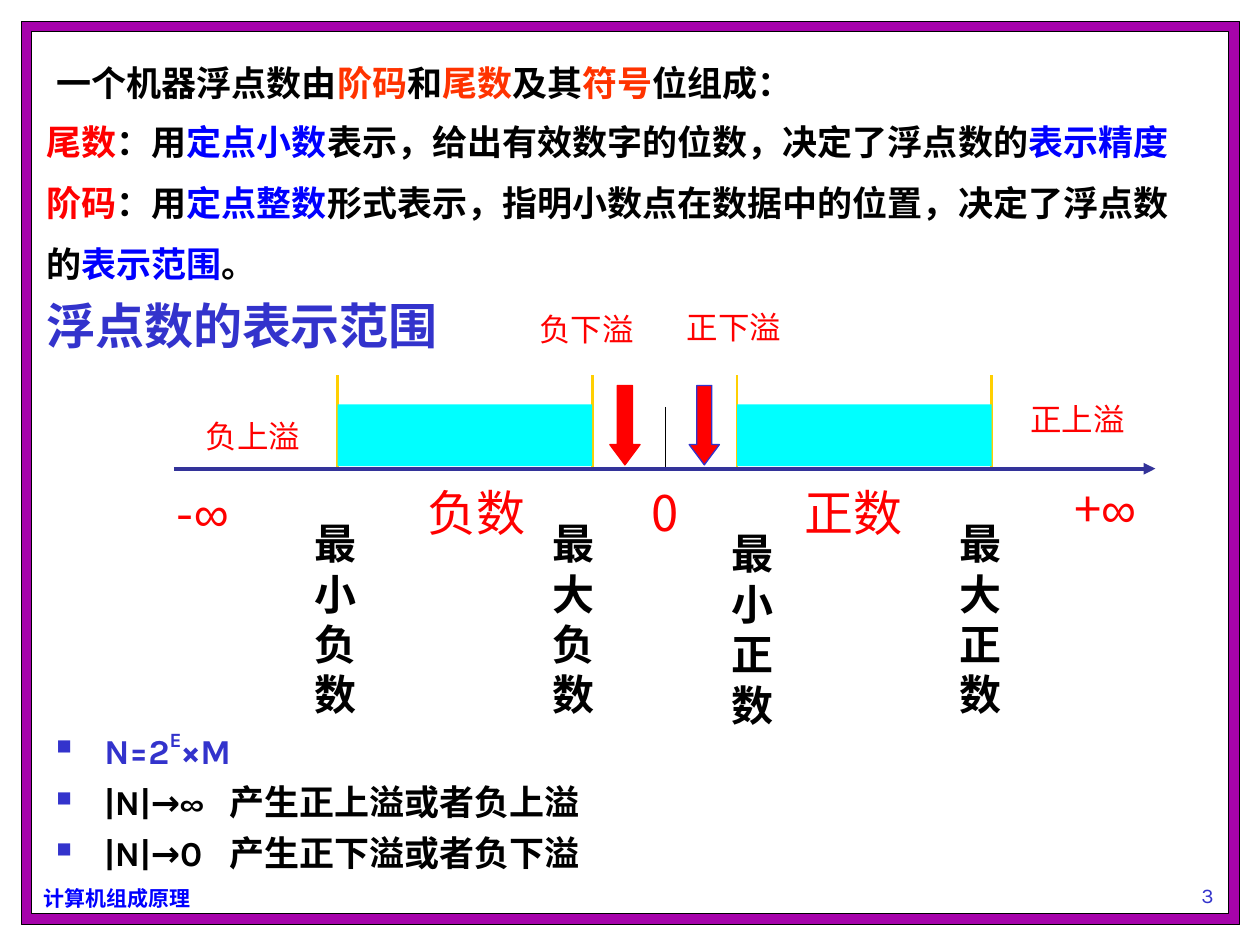
from pptx import Presentation
from pptx.dml.color import RGBColor
from pptx.enum.shapes import MSO_CONNECTOR as Connector, MSO_SHAPE as Shape
from pptx.enum.text import MSO_ANCHOR as Anchor, MSO_AUTO_SIZE as AutoSize, PP_ALIGN as Align
from pptx.oxml.ns import qn
from pptx.util import Inches, Pt
from lxml.etree import SubElement

SANS, SANS_JP, LATIN = "Noto Sans CJK SC", "Noto Sans CJK JP", "Karla"
BLACK, WHITE, RED, ORANGE = "000000", "FFFFFF", "FF0000", "FF3300"
BLUE, INDIGO, NAVY = "0000FF", "3333CC", "333399"
PURPLE, GOLD, CYAN = "A603AB", "FFCF01", "00FFFF"
AXIS_Y = 3.72


def color(hex_value):
    return RGBColor.from_string(hex_value)


def apply(target, values):
    for name, value in values.items():
        setattr(target, name, value)


class SlideBuilder:
    def __init__(self, slide):
        self.slide = slide
        self.insets = dict(margin_left=Inches(0.1), margin_right=Inches(0.1),
                           margin_top=Inches(0.05), margin_bottom=Inches(0.05))

    def shape(self, kind, box, fill, line=None, adjustments=()):
        shape = self.slide.shapes.add_shape(kind, *map(Inches, box))
        shape.shadow.inherit = False
        for index, value in enumerate(adjustments):
            shape.adjustments[index] = value
        shape.fill.solid()
        shape.fill.fore_color.rgb = color(fill)
        if line:
            shape.line.color.rgb = color(line)
            shape.line.width = Pt(0.75)
        else:
            shape.line.fill.background()

    def line(self, start, end, line_color, width, arrow=False):
        line = self.slide.shapes.add_connector(
            Connector.STRAIGHT, *map(Inches, (*start, *end)))
        line.line.color.rgb = color(line_color)
        line.line.width = Pt(width)
        properties = line._element.spPr
        if arrow:
            SubElement(properties.find(qn("a:ln")), qn("a:tailEnd"), type="triangle")
        SubElement(properties, qn("a:effectLst"))

    def text(self, box, paragraphs, size, font=SANS, bold=True, paragraph_format=None, **frame_format):
        """Each paragraph is a list of (text, colour[, run options]) tuples."""
        frame = self.slide.shapes.add_textbox(*map(Inches, box)).text_frame
        apply(frame, {"word_wrap": True, "auto_size": AutoSize.NONE,
                      **self.insets, **frame_format})
        for index, runs in enumerate(paragraphs):
            paragraph = frame.paragraphs[0] if index == 0 else frame.add_paragraph()
            apply(paragraph, paragraph_format or {})
            for words, text_color, *options in runs:
                self.run(paragraph, words, text_color, size, bold,
                         **{"font": font, **(options[0] if options else {})})
        return frame

    def run(self, paragraph, words, text_color, size, bold, font, baseline=None):
        run = paragraph.add_run()
        run.text = words
        apply(run.font, dict(size=Pt(size), bold=bold, name=font))
        run.font.color.rgb = color(text_color)
        properties = run._r.get_or_add_rPr()
        SubElement(properties, qn("a:ea"), typeface=font)
        if baseline:
            properties.set("baseline", str(baseline * 1000))

    def label(self, box, runs, size, font=SANS):
        """Red, centred, tightly set label of the number line."""
        margin = Inches(0.01)
        self.text(box, [[(words, RED, *options) for words, *options in runs]], size, font, False,
                  dict(alignment=Align.CENTER, line_spacing=0.8),
                  **dict.fromkeys(self.insets, margin))

    def bullets(self, box, paragraphs, size, font, tab):
        frame = self.text(box, paragraphs, size, font)
        for index, paragraph in enumerate(frame.paragraphs):
            properties = paragraph._p.get_or_add_pPr()
            properties.set("marL", str(Inches(0.38)))
            properties.set("indent", str(-Inches(0.38)))
            bullet_color = SubElement(properties, qn("a:buClr"))
            SubElement(bullet_color, qn("a:srgbClr"), val=INDIGO)
            SubElement(properties, qn("a:buSzPct"), val="60000")
            SubElement(properties, qn("a:buChar"), char="■")
            tabs = SubElement(properties, qn("a:tabLst"))
            SubElement(tabs, qn("a:tab"), pos=str(Inches(tab)), algn="l")
            if index:
                paragraph.space_before = Pt(5)


def add_frame(page):
    page.shape(Shape.RECTANGLE, (0.17, 0.17, 9.67, 7.17), PURPLE, BLACK)
    page.shape(Shape.RECTANGLE, (0.25, 0.25, 9.5, 7), WHITE, BLACK)
    page.text((0.25, 6.98, 1.36, 0.3), [[("计算机组成原理", BLUE)]], 12, word_wrap=False)
    page.text((8.67, 6.75, 1.83, 0.5), [[("3", INDIGO)]], 12, LATIN, False,
              dict(alignment=Align.CENTER), vertical_anchor=Anchor.BOTTOM)


def add_number_line(page):
    page.line((5.28, 3.23), (5.28, AXIS_Y), BLACK, 0.25)
    ranges, range_width = (2.68, 5.85), 2.02
    for left in ranges:
        for x in (left, left + range_width):
            page.line((x, AXIS_Y), (x, 2.98), GOLD, 1.5)
    page.line((1.38, AXIS_Y), (9.17, AXIS_Y), NAVY, 2.25, arrow=True)
    for left in ranges:
        page.shape(Shape.RECTANGLE, (left, 3.21, range_width, 0.49), CYAN)
    for left, outline in ((4.84, RED), (5.47, INDIGO)):
        page.shape(Shape.DOWN_ARROW, (left, 3.06, 0.24, 0.63), RED, outline, (0.5, 0.67))

    infinity = ("∞", {"font": "Arial"})
    for left, top, width, runs in (
            (1.27, 3.91, 0.68, [("-",), infinity]),
            (8.36, 3.88, 0.82, [("+",), infinity]),
            (3.31, 3.91, 0.95, [("负数",)]),
            (6.3, 3.91, 0.95, [("正数",)]),
            (5.07, 3.91, 0.41, [("0",)])):
        page.label((left, top, width, 0.49), runs, 28)
    for left, top, width, overflow, font in (
            (1.38, 3.36, 1.26, "负上溢", SANS_JP),
            (7.84, 3.22, 1.42, "正上溢", LATIN),
            (3.98, 2.51, 1.35, "负下溢", SANS_JP),
            (5.15, 2.49, 1.35, "正下溢", SANS_JP)):
        page.label((left, top, width, 0.49), [(overflow,)], 18, font)
    for left, top, limit in ((7.52, 4.06, "最大正数"), (5.71, 4.14, "最小正数"),
                             (2.4, 4.06, "最小负数"), (4.29, 4.06, "最大负数")):
        page.text((left, top, 0.63, 1.7), [[(limit, BLACK)]], 24, LATIN)


def add_explanations(page):
    page.text((0.35, 0.44, 6.04, 0.44), [[
        ("一个机器浮点数由", BLACK), ("阶码", ORANGE), ("和", BLACK), ("尾数", ORANGE),
        ("及其", BLACK), ("符号", ORANGE), ("位组成：", BLACK)]], 20, word_wrap=False)
    definitions = page.text((0.27, 0.91, 9.29, 1.4), [
        [("尾数", RED), ("：用", BLACK), ("定点小数", BLUE),
         ("表示，给出有效数字的位数，决定了浮点数的", BLACK), ("表示精度", BLUE)],
        [("阶码", RED), ("：用", BLACK), ("定点整数", BLUE),
         ("形式表示，指明小数点在数据中的位置，决定了浮点数的", BLACK),
         ("表示范围", BLUE), ("。", BLACK)]], 20)
    definitions.paragraphs[1].line_spacing = 1.45
    page.text((0.27, 2.25, 9.17, 0.61), [[("浮点数的表示范围", INDIGO)]], 28, LATIN,
              vertical_anchor=Anchor.BOTTOM)
    page.bullets((0.35, 5.72, 8.66, 1.4), [
        [("N=2", INDIGO), ("E", INDIGO, {"baseline": 50}), ("×M", INDIGO)],
        [("|N|→∞\t产生正上溢或者负上溢", BLACK)],
        [("|N|→0\t产生正下溢或者负下溢", BLACK)]], 20, LATIN, tab=1.37)


def main():
    presentation = Presentation()
    presentation.slide_width, presentation.slide_height = Inches(10), Inches(7.5)
    page = SlideBuilder(presentation.slides.add_slide(presentation.slide_layouts[6]))
    add_frame(page)
    add_number_line(page)
    add_explanations(page)
    presentation.save("out.pptx")


if __name__ == "__main__":
    main()
